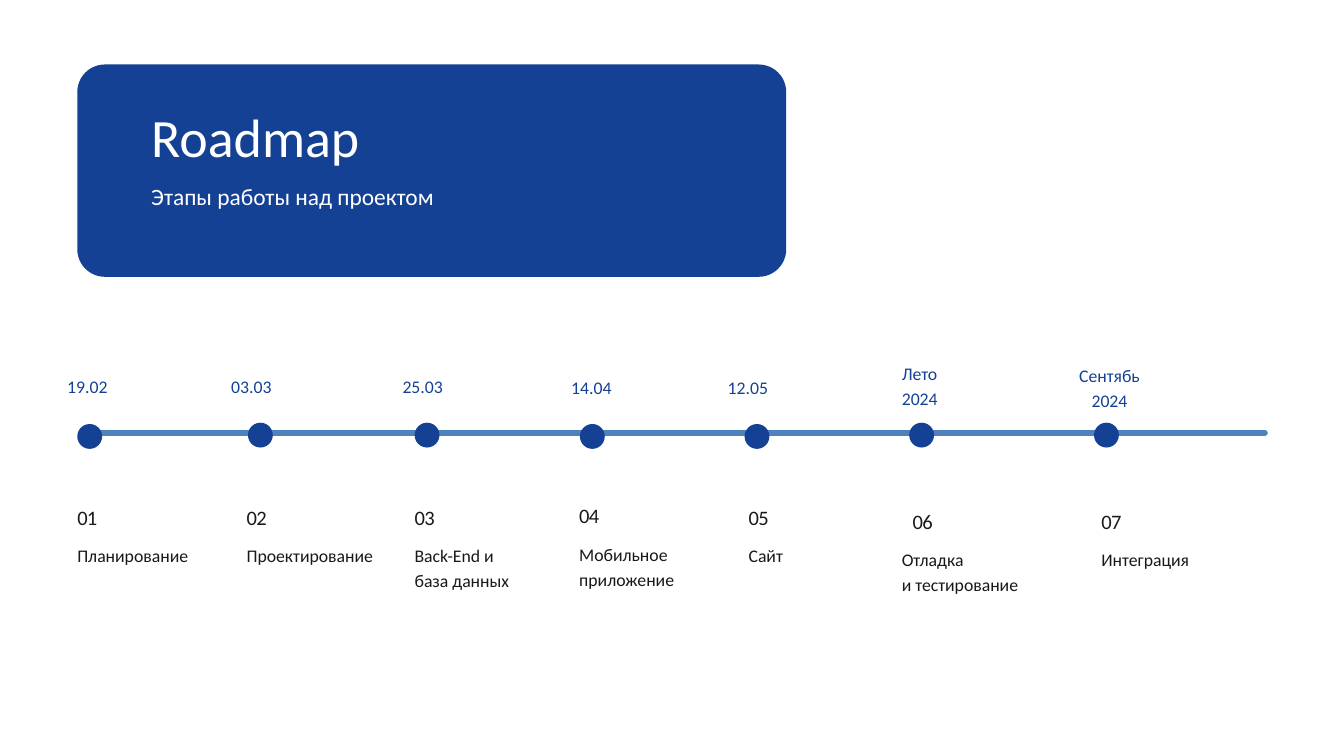
import pptx
import pptx.util
import pptx.dml.color
import pptx.enum.shapes
import pptx.enum.text
import pptx.oxml
import pptx.oxml.ns

PX = 9144  # EMU per px, 100 px to the inch
INK = {"navy": "154194", "steel": "4F81BD", "white": "FFFFFF", "dark": "191919"}
STYLES = {
    "title": {"size": 57.8, "lead": 75.2, "ink": "white"},
    "sub": {"size": 25.1, "lead": 35.1, "ink": "white"},
    "number": {"size": 22, "lead": 28.6, "ink": "dark", "track": -70},
    "label": {"size": 19, "lead": 26.6, "ink": "dark"},
    "date": {"size": 19, "lead": 26.6, "ink": "navy"},
}
ALIGN = pptx.enum.text.PP_ALIGN
KIND = pptx.enum.shapes.MSO_SHAPE

# dot (x, y), date (text, x, y, width), text block (x, y), number indent, label
STAGES = [
    ((115, 631), ("19.02", 100, 554, 86), (115, 748), 0, "Планирование"),
    ((369, 629), ("03.03", 344, 554, 87), (367, 748), 0, "Проектирование"),
    ((617, 629), ("25.03", 599, 554, 70), (617, 748), 0, "Back-End и\nбаза данных"),
    ((863, 631), ("14.04", 850, 555, 87), (862, 746), 0, "Мобильное приложение"),
    ((1108, 631), ("12.05", 1083, 556, 87), (1114, 748), 0, "Сайт"),
    ((1353, 629), ("Лето 2024", 1342, 535, 87), (1342, 754), 16,
     "Отладка\nи тестирование"),
    ((1628, 629), ("Сентябь 2024", 1600, 538, 102), (1639, 754), 0, "Интеграция"),
]


def color(name):
    return pptx.dml.color.RGBColor.from_string(INK[name])


def place(shape, box):
    for name, value in zip(("left", "top", "width", "height"), box):
        setattr(shape, name, value * PX)


def write(shape, text, style, align=ALIGN.LEFT):
    look = STYLES[style]
    frame = shape.text_frame
    frame.text = text
    form = {
        "word_wrap": True,
        "auto_size": pptx.enum.text.MSO_AUTO_SIZE.NONE,
        "vertical_anchor": pptx.enum.text.MSO_ANCHOR.TOP,
        "margin_left": 0, "margin_top": 0, "margin_right": 0, "margin_bottom": 0,
    }
    for name, value in form.items():
        setattr(frame, name, value)
    rules = {"alignment": align, "space_before": pptx.util.Pt(0),
             "line_spacing": pptx.util.Pt(look["lead"])}
    face = {"name": "Calibri", "size": pptx.util.Pt(look["size"])}
    for para in frame.paragraphs:
        for name, value in rules.items():
            setattr(para, name, value)
        for run in para.runs:
            for name, value in face.items():
                setattr(run.font, name, value)
            run.font.color.rgb = color(look["ink"])
            if "track" in look:
                run._r.get_or_add_rPr().set("spc", str(look["track"]))


def add_text(slide, box, text, style, align=ALIGN.LEFT):
    shape = slide.shapes.add_textbox(*(v * PX for v in box))
    write(shape, text, style, align)


def add_solid(slide, kind, box):
    shape = slide.shapes.add_shape(kind, *(v * PX for v in box))
    shape.shadow.inherit = False
    shape.fill.solid()
    shape.fill.fore_color.rgb = color("navy")
    shape.line.fill.background()
    return shape


def add_header(slide, box):
    x, y, w, h = box
    card = add_solid(slide, KIND.ROUNDED_RECTANGLE, box)
    card.adjustments[0] = 0.13
    title, sub = slide.placeholders
    title.element.addprevious(card.element)  # card lies behind its text
    place(title, (x + 110, y + 50, w - 151, 101))
    write(title, "Roadmap", "title")
    place(sub, (x + 110, y + 168, w - 151, 49))
    write(sub, "Этапы работы над проектом", "sub")


def add_axis(slide, x, y, w):
    axis = slide.shapes.add_connector(
        pptx.enum.shapes.MSO_CONNECTOR.STRAIGHT, x * PX, y * PX, (x + w) * PX, y * PX)
    axis.line.color.rgb = color("steel")
    axis.line.width = pptx.util.Pt(6.75)
    axis.line._get_or_add_ln().set("cap", "rnd")
    axis.element.spPr.append(pptx.oxml.parse_xml(
        "<a:effectLst %s/>" % pptx.oxml.ns.nsdecls("a")))


def add_stage(slide, box, index, stage):
    """Places a dot, its date above and its numbered label below."""
    left, top = box
    dot, (date, dx, dy, wide), (tx, ty), indent, label = stage
    add_solid(slide, KIND.OVAL, (left + dot[0], top + dot[1], 37, 37))
    tall = 75 if " " in date else 37
    align = ALIGN.CENTER if index == len(STAGES) else ALIGN.LEFT
    add_text(slide, (left + dx, top + dy, wide, tall), date, "date", align)
    tx, ty = left + tx, top + ty
    add_text(slide, (tx + indent, ty, 273, 38), f"{index:02}", "number")
    add_text(slide, (tx, ty + 58, 273, 75 if " " in label else 37), label, "label")


def main():
    deck = pptx.Presentation()
    deck.slide_width, deck.slide_height = 2000 * PX, 1125 * PX
    slide = deck.slides.add_slide(deck.slide_layouts[0])
    add_header(slide, (115, 96, 1055, 316))
    add_axis(slide, 129, 644, 1753)
    for index, stage in enumerate(STAGES, 1):
        add_stage(slide, (0, 0), index, stage)
    deck.save("out.pptx")


if __name__ == "__main__":
    main()
